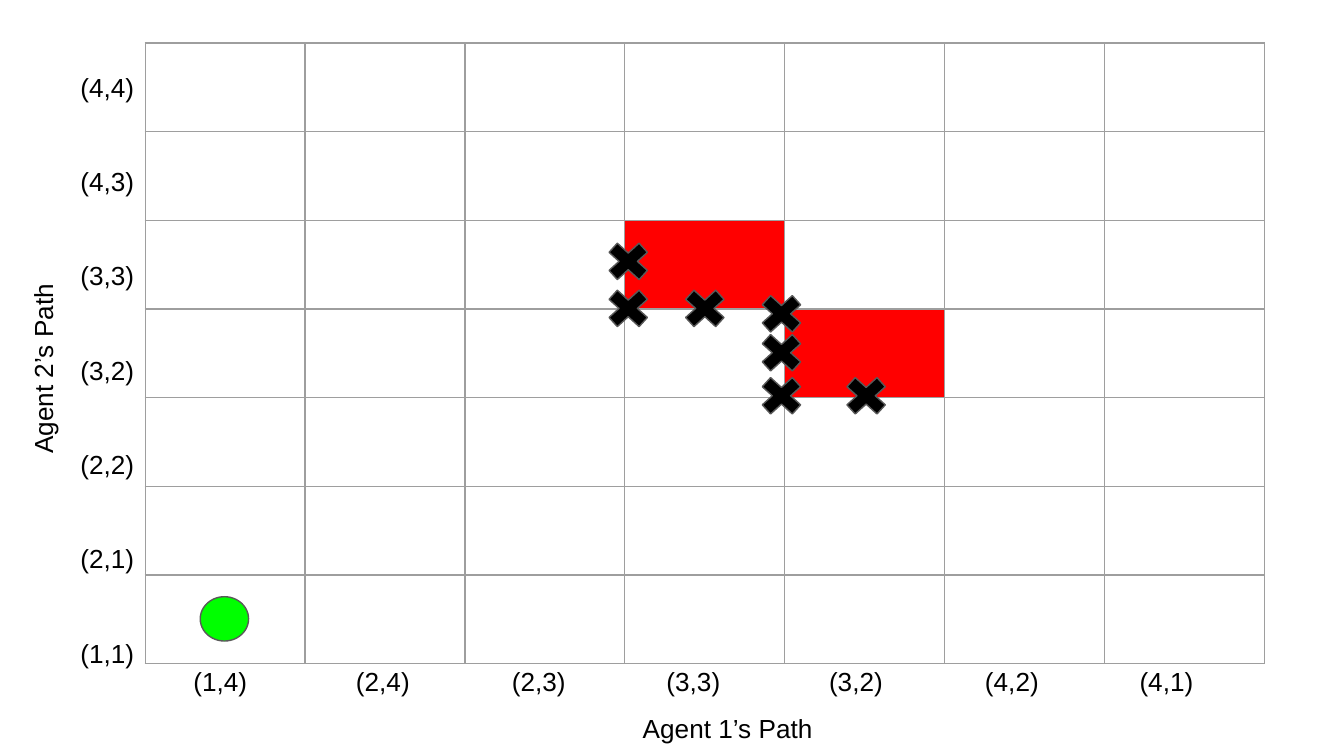
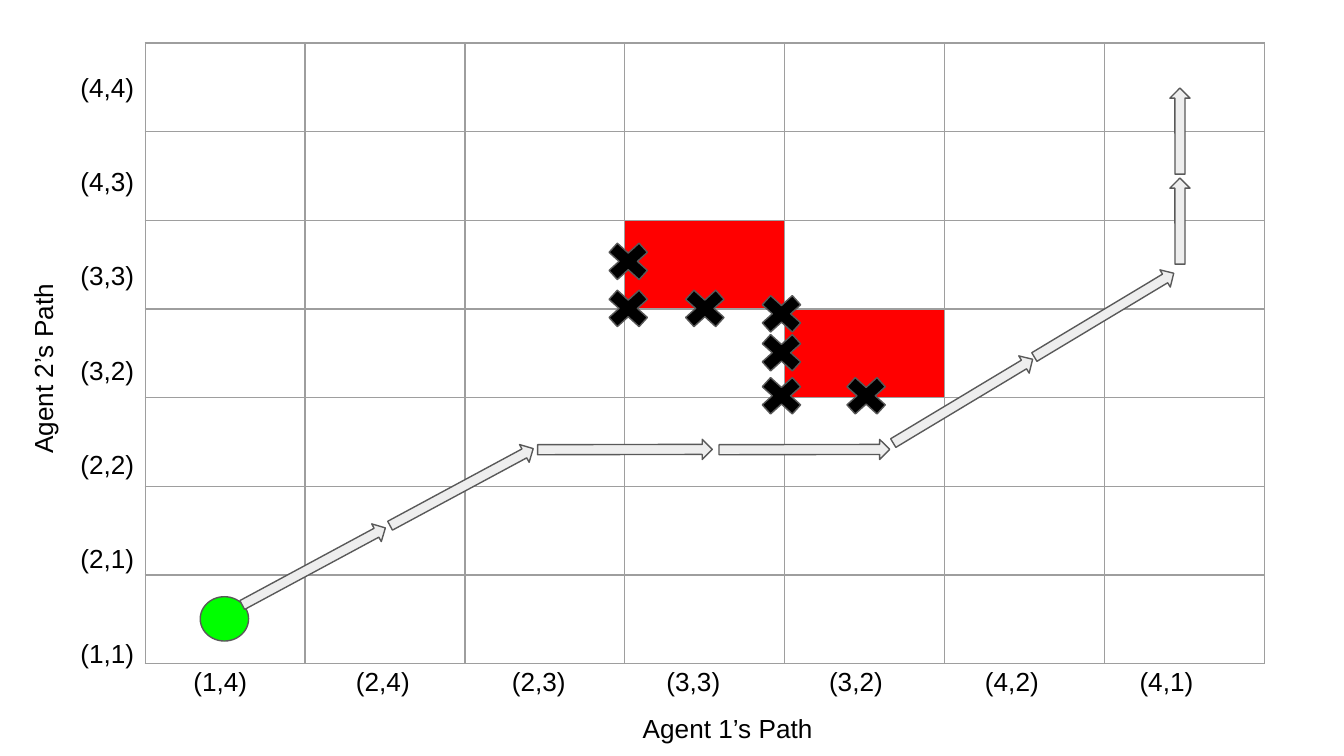
from dataclasses import dataclass
from itertools import accumulate

from lxml import etree
from pptx import Presentation
from pptx.dml.color import RGBColor
from pptx.enum.shapes import MSO_SHAPE
from pptx.enum.text import PP_ALIGN
from pptx.oxml.ns import qn
from pptx.util import Inches, Pt

OVAL = MSO_SHAPE.OVAL
ARROW = MSO_SHAPE.RIGHT_ARROW
CROSS = MSO_SHAPE.MATH_MULTIPLY
LEFT = PP_ALIGN.LEFT
CENTER = PP_ALIGN.CENTER


@dataclass(frozen=True)
class Theme:
    font: str = "Arial"
    size: float = 14
    rule: float = 0.75
    text: str = "000000"
    grid: str = "9E9E9E"
    edge: str = "595959"
    block: str = "FF0000"
    start: str = "00FF00"
    cross: str = "000000"
    arrow: str = "EEEEEE"


THEME = Theme()

WIDTH = 10
HEIGHT = WIDTH * 9 / 16
COUNT = 7
CELL_W, CELL_H = 1.19, 0.66
BLOCKED = {(2, 3), (3, 4)}

ROWS = ["(4,4)", "(4,3)", "(3,3)", "(3,2)", "(2,2)", "(2,1)", "(1,1)"]
COLS = ["(1,4)", "(2,4)", "(2,3)", "(3,3)", "(3,2)", "(4,2)", "(4,1)"]
ROW_GAP = 33.7  # points between row labels
COL_STEPS = [1.21, 1.16, 1.15] * 2

# left, top
CROSSES = [(4.46, 2.1), (4.46, 1.75), (5.03, 2.1), (5.6, 2.43),
           (5.6, 2.75), (6.23, 2.75), (5.6, 2.14)]
# left, top, length, rotation
ROUTE = [(1.73, 4.14, 1.21, 331.7), (2.83, 3.55, 1.21, 331.7),
         (4, 3.27, 1.3, 359.9), (5.35, 3.27, 1.27, 359.9),
         (6.56, 2.91, 1.21, 329), (7.61, 2.27, 1.21, 329),
         (8.46, 1.57, 0.64, 269.9), (8.46, 0.9, 0.64, 269.9)]


def color(code):
    return RGBColor.from_string(code)


def add_borders(cell):
    props = cell._tc.get_or_add_tcPr()
    for spot, side in enumerate(("a:lnL", "a:lnR", "a:lnT", "a:lnB")):
        line = etree.Element(qn(side), w=str(Pt(THEME.rule)))
        fill = etree.SubElement(line, qn("a:solidFill"))
        etree.SubElement(fill, qn("a:srgbClr"), val=THEME.grid)
        props.insert(spot, line)


def add_grid(slide):
    table = slide.shapes.add_table(
        COUNT, COUNT, Inches(1.08), Inches(0.32),
        Inches(COUNT * CELL_W), Inches(COUNT * CELL_H)).table
    table.first_row = table.horz_banding = False
    for i in range(COUNT):
        table.columns[i].width = Inches(CELL_W)
        table.rows[i].height = Inches(CELL_H)
        for j in range(COUNT):
            cell = table.cell(i, j)
            if (i, j) in BLOCKED:
                cell.fill.solid()
                cell.fill.fore_color.rgb = color(THEME.block)
            else:
                cell.fill.background()
            add_borders(cell)


def add_mark(slide, kind, box, fill, turn=0):
    mark = slide.shapes.add_shape(kind, *map(Inches, box))
    mark.rotation = turn
    mark.shadow.inherit = False
    mark.fill.solid()
    mark.fill.fore_color.rgb = color(fill)
    mark.line.color.rgb = color(THEME.edge)
    mark.line.width = Pt(THEME.rule)


def add_text(slide, box, lines, align=LEFT, turn=0, gap=0, tabs=()):
    """Add one paragraph per line, with gap in points and tabs in inches."""
    shape = slide.shapes.add_textbox(*map(Inches, box))
    shape.rotation = turn
    frame = shape.text_frame
    frame.word_wrap = True
    frame.margin_left = frame.margin_right = Inches(0.1)
    frame.margin_top = frame.margin_bottom = Inches(0.1)
    for i, line in enumerate(lines):
        para = frame.add_paragraph() if i else frame.paragraphs[0]
        para.alignment = align
        if i:
            para.space_before = Pt(gap)
        if tabs:
            stops = etree.SubElement(para._p.get_or_add_pPr(), qn("a:tabLst"))
            for tab in tabs:
                etree.SubElement(stops, qn("a:tab"),
                                 pos=str(Inches(tab)), algn="l")
        run = para.add_run()
        run.text = line
        run.font.name = THEME.font
        run.font.size = Pt(THEME.size)
        run.font.color.rgb = color(THEME.text)


def add_labels(slide):
    add_text(slide, (0.5, 0.43, 0.67, 4.5), ROWS, gap=ROW_GAP)
    add_text(slide, (1.34, 4.85, 8.29, 0.51), ["\t".join(COLS)],
             tabs=list(accumulate(COL_STEPS)))
    add_text(slide, (-1.83, 2.49, 4.37, 0.51), ["Agent 2’s Path"],
             CENTER, turn=270)
    add_text(slide, (3.23, 5.2, 4.37, 0.51), ["Agent 1’s Path"], CENTER)


def add_plan(deck, route=()):
    slide = deck.slides.add_slide(deck.slide_layouts[6])
    add_grid(slide)
    add_mark(slide, OVAL, (1.49, 4.44, 0.36, 0.33), THEME.start)
    for left, top, length, turn in route:
        add_mark(slide, ARROW, (left, top, length, 0.15), THEME.arrow, turn)
    add_labels(slide)
    for left, top in CROSSES:
        add_mark(slide, CROSS, (left, top, 0.43, 0.39), THEME.cross)


def main():
    deck = Presentation()
    deck.slide_width = Inches(WIDTH)
    deck.slide_height = Inches(HEIGHT)
    add_plan(deck)
    add_plan(deck, ROUTE)
    deck.save("out.pptx")


if __name__ == "__main__":
    main()
